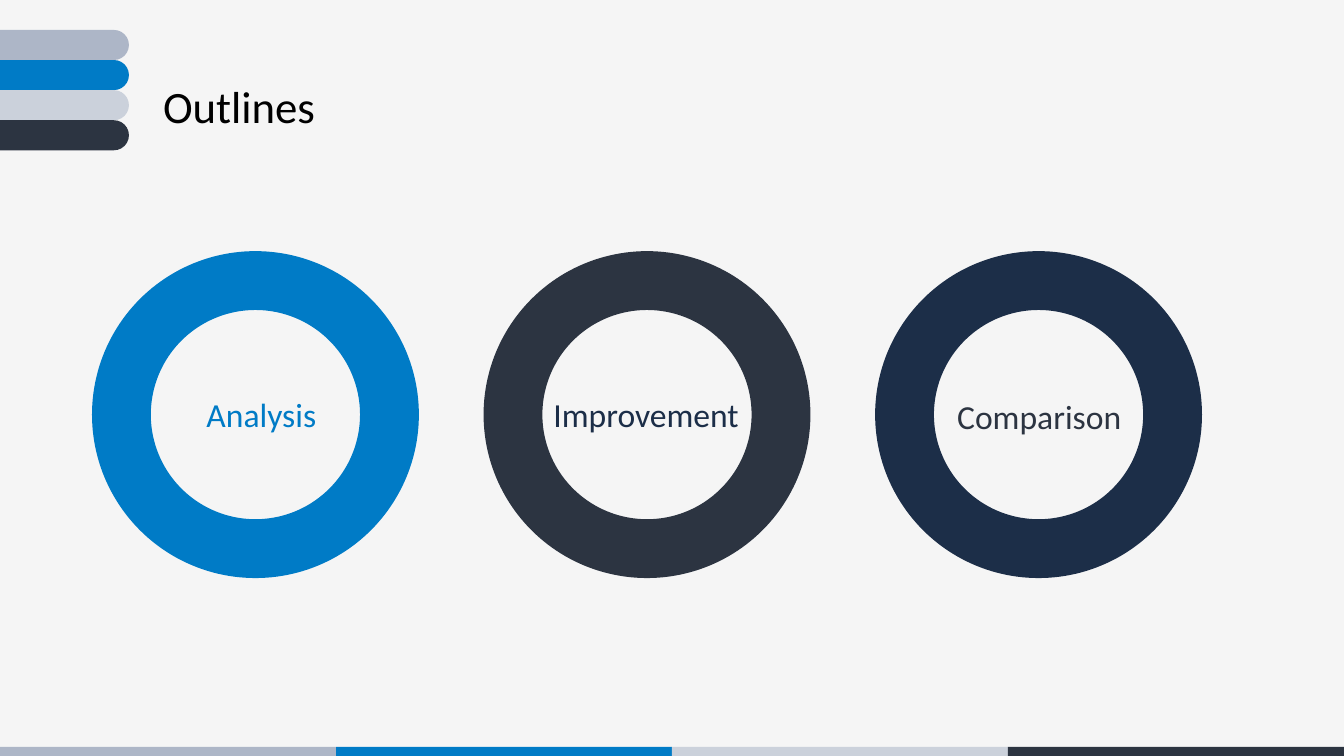
import pptx
import pptx.dml.color
import pptx.enum.shapes
import pptx.enum.text
import pptx.util
from dataclasses import dataclass

Pt = pptx.util.Pt
SHAPES = pptx.enum.shapes.MSO_SHAPE


@dataclass(frozen=True)
class Theme:
    font: str = "Calibri"
    title_size: int = 32
    label_size: int = 24
    background: str = "F5F5F5"
    black: str = "000000"
    blue: str = "007BC6"
    slate: str = "2C3441"
    navy: str = "1C2E48"
    stripes: tuple = ("ADB6C7", "007BC6", "CBD1DB", "2C3441")


def rgb(color):
    return pptx.dml.color.RGBColor.from_string(color)


class SlideBuilder:
    def __init__(self, page, theme):
        self.page = page
        self.theme = theme

    def background(self, color):
        fill = self.page.background.fill
        fill.solid()
        fill.fore_color.rgb = rgb(color)

    def shape(self, kind, left, top, width, height, color, adjustment=None):
        shape = self.page.shapes.add_shape(
            kind, Pt(left), Pt(top), Pt(width), Pt(height))
        shape.shadow.inherit = False
        shape.fill.solid()
        shape.fill.fore_color.rgb = rgb(color)
        shape.line.fill.background()
        if adjustment is not None:
            shape.adjustments[0] = adjustment
        return shape

    def text(self, text, left, top, width, height, *, size, color, wrap=True):
        box = self.page.shapes.add_textbox(
            Pt(left), Pt(top), Pt(width), Pt(height))
        frame = box.text_frame
        frame.word_wrap = wrap
        frame.auto_size = pptx.enum.text.MSO_AUTO_SIZE.SHAPE_TO_FIT_TEXT
        span = frame.paragraphs[0].add_run()
        span.text = text
        span.font.name = self.theme.font
        span.font.size = Pt(size)
        span.font.color.rgb = rgb(color)
        return box


def main():
    theme = Theme()
    deck = pptx.Presentation()
    deck.slide_width, deck.slide_height = Pt(960), Pt(540)
    page = deck.slides.add_slide(deck.slide_layouts[6])
    builder = SlideBuilder(page, theme)
    builder.background(theme.background)

    bar_width = 960 / len(theme.stripes)
    tab_height = 21.5
    for index, color in enumerate(theme.stripes):
        builder.shape(SHAPES.RECTANGLE, index * bar_width, 533.5,
                      bar_width, 6.5, color)
        # The left ends run past the slide edge, so only the right ends look round.
        builder.shape(SHAPES.ROUNDED_RECTANGLE, -44.5, 21.4 + index * tab_height,
                      136.6, tab_height, color, adjustment=0.5)

    rings = [
        # text, ring color, text color, text left, text top, text width
        ("Analysis", theme.blue, theme.blue, 140.4, 278, 93.6),
        ("Improvement", theme.slate, theme.navy, 388.2, 278, 148),
        ("Comparison", theme.navy, theme.slate, 676.6, 279.4, 132.5),
    ]
    ring_size, ring_pitch = 233.5, 279.7
    for index, (_, ring_color, *_) in enumerate(rings):
        builder.shape(SHAPES.DONUT, 65.7 + index * ring_pitch, 179.4,
                      ring_size, ring_size, ring_color, adjustment=0.18)
    for text, _, color, left, top, width in rings:
        builder.text(text, left, top, width, 36,
                     size=theme.label_size, color=color)

    builder.text("Outlines", 109.4, 52.6, 124.6, 46,
                 size=theme.title_size, color=theme.black, wrap=False)
    deck.save("out.pptx")


if __name__ == "__main__":
    main()
